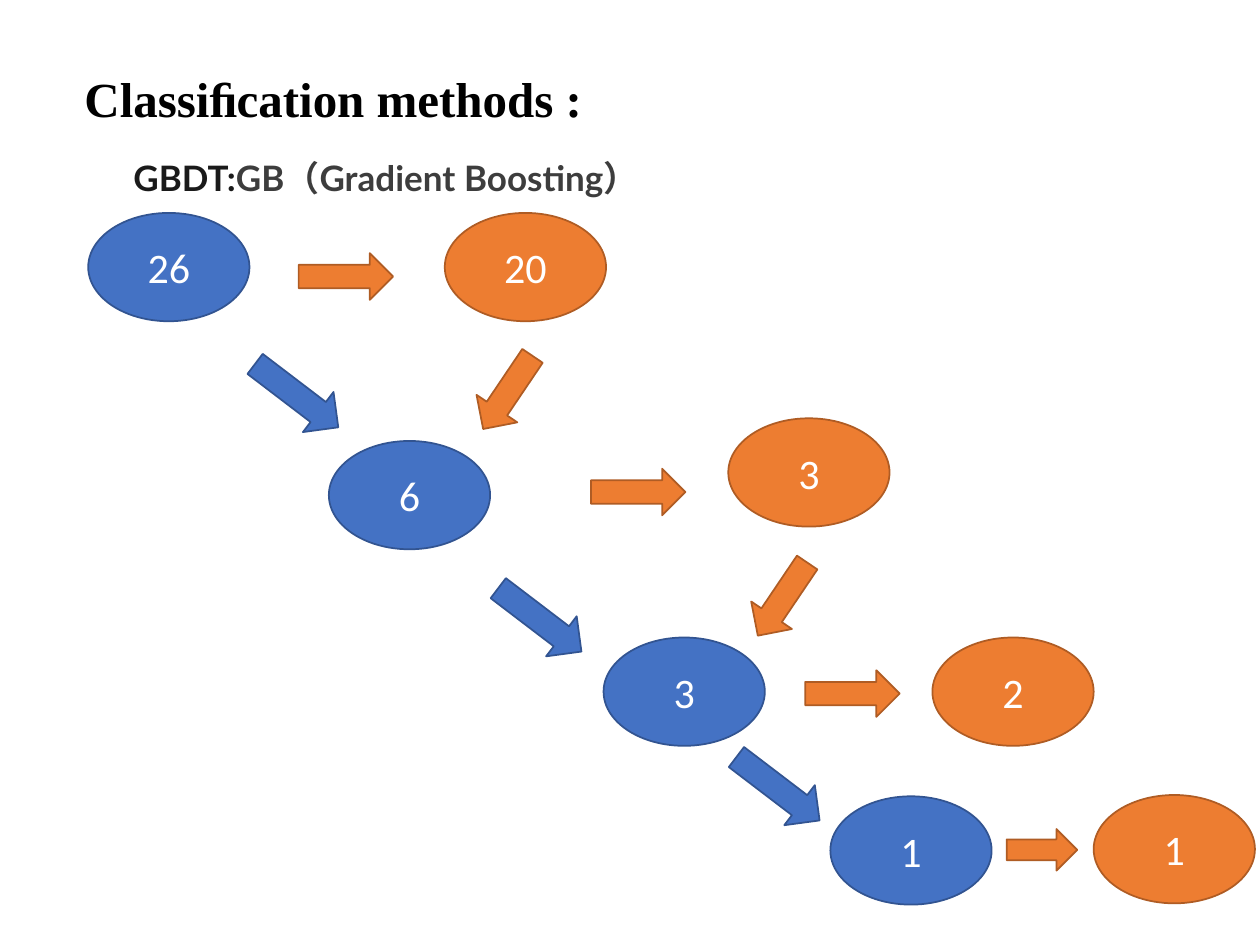
from pptx import Presentation
from pptx.dml.color import RGBColor
from pptx.enum.shapes import MSO_SHAPE
from pptx.enum.text import MSO_ANCHOR, MSO_AUTO_SIZE, PP_ALIGN
from pptx.util import Inches, Pt

OVAL = MSO_SHAPE.OVAL
ARROW = MSO_SHAPE.RIGHT_ARROW
LEFT, CENTER = PP_ALIGN.LEFT, PP_ALIGN.CENTER
TOP, MIDDLE = MSO_ANCHOR.TOP, MSO_ANCHOR.MIDDLE
NO_FIT = MSO_AUTO_SIZE.NONE
TITLE_ONLY = 5

BLUE = ("4472C4", "325491")
ORANGE = ("ED7D31", "AF5C24")


def color(value):
    return RGBColor.from_string(value)


def write(par, text, font="Calibri", size=24, fill="FFFFFF", bold=False, align=LEFT):
    par.alignment = align
    run = par.add_run()
    run.text = text
    run.font.name = font
    run.font.size = Pt(size)
    run.font.bold = bold
    run.font.color.rgb = color(fill)


class Deck:
    def __init__(self):
        self.file = Presentation()
        self.file.slide_width = Inches(10)
        self.file.slide_height = Inches(7.5)
        self.slide = self.file.slides.add_slide(self.file.slide_layouts[TITLE_ONLY])

    def title(self, text, left, top, width, height):
        shape = self.slide.shapes.title
        shape.left, shape.top = Inches(left), Inches(top)
        shape.width, shape.height = Inches(width), Inches(height)
        frame = shape.text_frame
        frame.word_wrap = False
        frame.auto_size = NO_FIT
        frame.vertical_anchor = TOP
        write(frame.paragraphs[0], text, font="Times New Roman", size=28,
              fill="000000", bold=True)

    def label(self, parts, left, top, width, height):
        box = self.slide.shapes.add_textbox(
            Inches(left), Inches(top), Inches(width), Inches(height))
        box.text_frame.word_wrap = True
        for text, fill in parts:
            write(box.text_frame.paragraphs[0], text, font="Lato", size=20,
                  fill=fill, bold=True)

    def shape(self, kind, left, top, width, height, style):
        shape = self.slide.shapes.add_shape(
            kind, Inches(left), Inches(top), Inches(width), Inches(height))
        shape.shadow.inherit = False
        fill, line = style
        shape.fill.solid()
        shape.fill.fore_color.rgb = color(fill)
        shape.line.color.rgb = color(line)
        shape.line.width = Pt(1)
        return shape

    def node(self, text, left, top, style):
        frame = self.shape(OVAL, left, top, 1.28, 0.86, style).text_frame
        frame.vertical_anchor = MIDDLE
        write(frame.paragraphs[0], text, align=CENTER)

    def arrow(self, left, top, style, width=0.75, height=0.37, angle=0):
        self.shape(ARROW, left, top, width, height, style).rotation = angle


def main():
    deck = Deck()
    deck.title("Classiﬁcation methods :", 0.57, 0.49, 4.2, 0.57)
    deck.label([("GBDT:", "1A1A1A"), ("GB（Gradient Boosting）", "3D3D3D")],
               0.96, 1.19, 5.11, 0.44)

    targets = [("26", 0.7, 1.69), ("6", 2.61, 3.5), ("3", 4.79, 5.06), ("1", 6.59, 6.32)]
    guesses = [("20", 3.53, 1.69), ("3", 5.78, 3.32), ("2", 7.4, 5.06), ("1", 8.68, 6.31)]
    for style, nodes in ((BLUE, targets), (ORANGE, guesses)):
        for text, left, top in nodes:
            deck.node(text, left, top, style)

    for left, top in ((2.37, 2.01), (4.69, 3.72), (6.39, 5.32)):
        deck.arrow(left, top, ORANGE)
    deck.arrow(7.99, 6.58, ORANGE, width=0.56, height=0.33)
    for left, top in ((1.94, 2.94), (3.87, 4.72), (5.76, 6.06)):
        deck.arrow(left, top, BLUE, width=0.83, height=0.4, angle=37.3)
    for left, top in ((3.68, 2.92), (5.86, 4.56)):
        deck.arrow(left, top, ORANGE, width=0.7, height=0.39, angle=124)

    deck.file.save("out.pptx")


if __name__ == "__main__":
    main()
